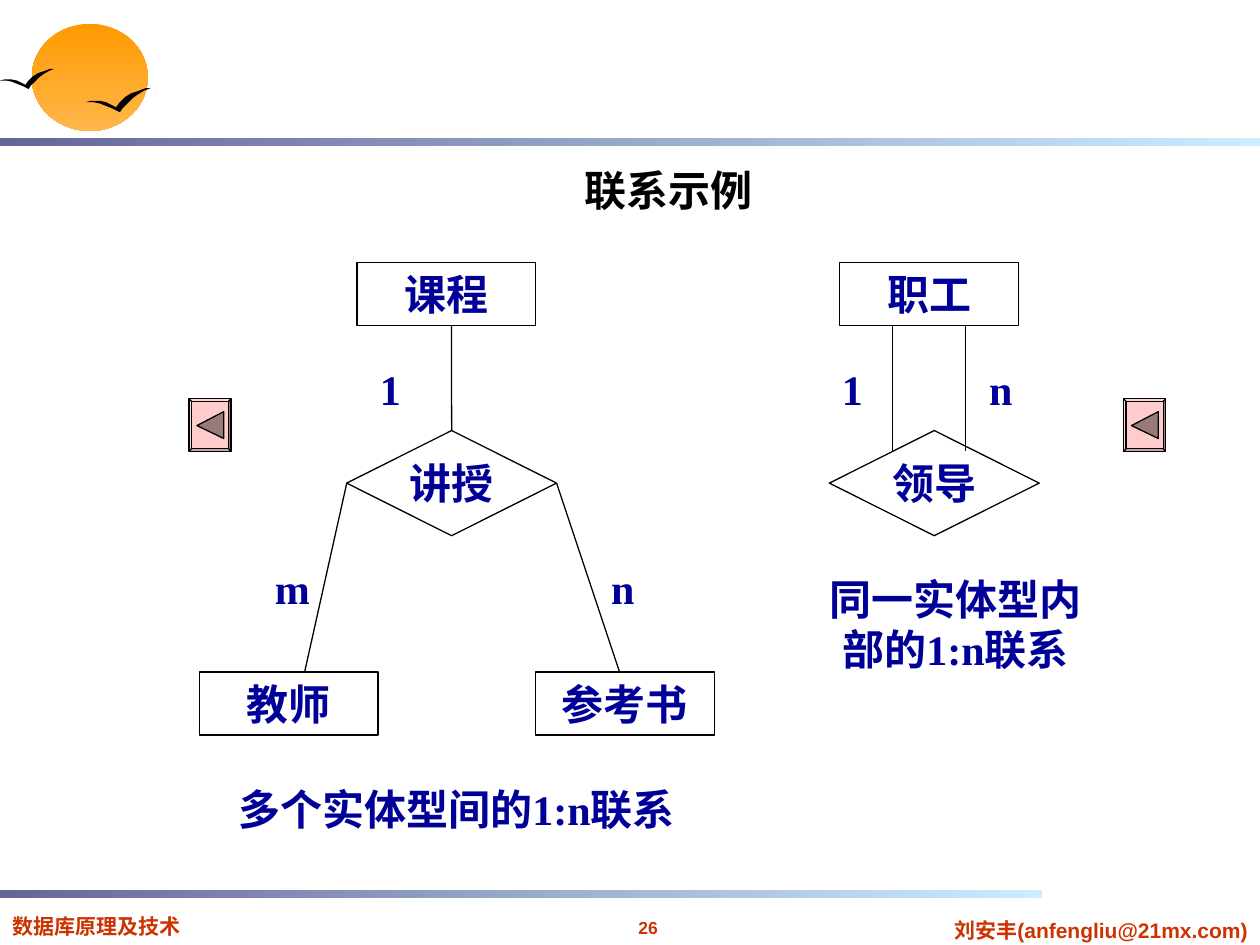
from dataclasses import dataclass
from typing import Optional

from lxml.etree import SubElement
from pptx import Presentation
from pptx.dml.color import RGBColor
from pptx.enum.shapes import MSO_CONNECTOR, MSO_SHAPE as Preset
from pptx.enum.text import MSO_ANCHOR as Anchor, MSO_AUTO_SIZE, PP_ALIGN as Align
from pptx.oxml.ns import qn
from pptx.util import Cm, Pt

BLACK = RGBColor(0x00, 0x00, 0x00)
NAVY = RGBColor(0x00, 0x00, 0x99)
RUST = RGBColor(0xCC, 0x33, 0x00)
SLATE = RGBColor(0x66, 0x66, 0x99)
ICE = RGBColor(0xCC, 0xEC, 0xFF)
ORANGE = RGBColor(0xFF, 0x99, 0x00)
AMBER = RGBColor(0xFF, 0xB7, 0x4C)
PINK = RGBColor(0xFF, 0xCC, 0xCC)
MAUVE = RGBColor(0x99, 0x7A, 0x7A)

CHINESE_FONT = "Noto Sans CJK SC"
HEADING = {"name": CHINESE_FONT, "size": Pt(24), "bold": True}
DIAGRAM = {"name": "Times New Roman", "size": Pt(24), "bold": True}
FOOTER = {"name": "Arial", "size": Pt(12), "bold": True}
PAGE_NUMBER = FOOTER | {"size": Pt(10)}

ENTITY_SIZE = (3.6, 1.27)
RELATION_SIZE = (4.23, 2.12)
ROLE_SIZE = (1.06, 1.27)
BUTTON_SIZE = (0.85, 1.06)
TOP, LEFT, RIGHT = 0, 1, 3

BIRD = [
    (0, 11), (4, 10), (11, 10), (16, 11), (20, 13), (24, 15), (27, 11), (31, 7),
    (36, 4), (42, 2), (47, 0), (51, 0), (46, 2), (41, 5), (37, 8), (33, 12),
    (29, 16), (27, 19), (25, 18), (21, 16), (16, 14), (11, 12), (6, 11),
]
ARROW = [(0, 28), (54, 0), (54, 54)]


@dataclass
class Node:
    text: str
    left: float
    top: float


@dataclass
class Label:
    text: str
    left: float
    top: float
    width: float
    height: float
    style: dict
    color: RGBColor = NAVY
    align: Align = Align.LEFT
    wrap: bool = True


@dataclass
class Link:
    start: tuple[float, float]
    end: tuple[float, float]
    relation: Optional[str] = None
    corner: int = TOP


def write(shape, text: str, style: dict, color: RGBColor, align=Align.CENTER,
          anchor=Anchor.TOP, wrap: bool = True) -> None:
    frame = shape.text_frame
    layout = {"word_wrap": wrap, "auto_size": MSO_AUTO_SIZE.NONE, "vertical_anchor": anchor}
    for key, value in layout.items():
        setattr(frame, key, value)
    frame.text = text
    paragraph = frame.paragraphs[0]
    paragraph.alignment = align
    font = paragraph.runs[0].font
    for key, value in style.items():
        setattr(font, key, value)
    font.color.rgb = color
    SubElement(paragraph.runs[0]._r.get_or_add_rPr(), qn("a:ea"), typeface=CHINESE_FONT)


def add_preset(shapes, preset, left: float, top: float, size: tuple[float, float]):
    shape = shapes.add_shape(preset, Cm(left), Cm(top), *map(Cm, size))
    shape.shadow.inherit = False
    return shape


def outline(shape) -> None:
    shape.line.color.rgb = BLACK
    shape.line.width = Pt(0.75)


def add_node(shapes, preset, node: Node, size: tuple[float, float], **layout):
    shape = add_preset(shapes, preset, node.left, node.top, size)
    shape.fill.background()
    outline(shape)
    write(shape, node.text, DIAGRAM, NAVY, **layout)
    return shape


def add_label(shapes, label: Label) -> None:
    box = shapes.add_textbox(*map(Cm, (label.left, label.top, label.width, label.height)))
    write(box, label.text, label.style, label.color, label.align, wrap=label.wrap)


def add_link(shapes, link: Link, relations: dict) -> None:
    line = shapes.add_connector(MSO_CONNECTOR.STRAIGHT, *map(Cm, link.start + link.end))
    outline(line)
    SubElement(line._element.spPr, qn("a:effectLst"))
    if link.relation:
        line.begin_connect(relations[link.relation], link.corner)


def add_gradient(shapes, preset, left: float, top: float, size: tuple[float, float],
                 colors: tuple[RGBColor, RGBColor], angle: int) -> None:
    shape = add_preset(shapes, preset, left, top, size)
    shape.line.fill.background()
    shape.fill.gradient()
    shape.fill.gradient_angle = angle
    for stop, position, color in zip(shape.fill.gradient_stops, (0, 1), colors):
        stop.position = position
        stop.color.rgb = color


def add_outline_shape(shapes, points: list, left: float, top: float, width: float, color: RGBColor):
    scale = Cm(width) / max(x for x, _ in points)
    builder = shapes.build_freeform(*points[0], scale=scale)
    builder.add_line_segments(points[1:])
    shape = builder.convert_to_shape(Cm(left), Cm(top))
    shape.shadow.inherit = False
    shape.fill.solid()
    shape.fill.fore_color.rgb = color
    shape.line.fill.background()
    return shape


def add_back_button(shapes, left: float, top: float) -> None:
    button = add_preset(shapes, Preset.BEVEL, left, top, BUTTON_SIZE)
    button.adjustments[0] = 0.06
    button.fill.solid()
    button.fill.fore_color.rgb = PINK
    outline(button)
    outline(add_outline_shape(shapes, ARROW, left + 0.16, top + 0.26, 0.54, MAUVE))


ENTITIES = [
    Node("职工", 16.93, 5.29), Node("课程", 7.2, 5.29),
    Node("教师", 4.02, 13.55), Node("参考书", 10.8, 13.55),
]
RELATIONS = [Node("领导", 16.72, 8.68), Node("讲授", 6.99, 8.68)]
LINKS = [
    Link((17.99, 9.1), (17.99, 6.56)),
    Link((19.47, 6.56), (19.47, 9.1)),
    Link((9.1, 8.68), (9.1, 6.56), "讲授", TOP),
    Link((6.99, 9.74), (6.14, 13.55), "讲授", LEFT),
    Link((11.22, 9.74), (12.49, 13.55), "讲授", RIGHT),
]
ROLES = [
    Node("1", 16.72, 7.2), Node("n", 19.69, 7.2), Node("1", 7.41, 7.2),
    Node("m", 5.29, 11.22), Node("n", 12.07, 11.22),
]
LABELS = [Label(role.text, role.left, role.top, *ROLE_SIZE, DIAGRAM) for role in ROLES] + [
    Label("同一实体型内部的1:n联系", 16.09, 11.43, 6.35, 2.29, DIAGRAM, align=Align.CENTER),
    Label("多个实体型间的1:n联系", 4.02, 15.66, 10.37, 1.27, DIAGRAM, align=Align.CENTER),
    Label("刘安丰(anfengliu@21mx.com)", 19, 18.37, 6.4, 0.76, FOOTER, RUST, Align.CENTER, False),
    Label("26", 11.96, 18.37, 2.21, 0.69, PAGE_NUMBER, RUST, Align.CENTER, False),
    Label("数据库原理及技术", 0, 18.29, 5.08, 0.76, FOOTER, RUST),
]


def main() -> None:
    deck = Presentation()
    deck.slide_width, deck.slide_height = Cm(25.4), Cm(19.05)
    slide = deck.slides.add_slide(deck.slide_layouts[5])
    shapes = slide.shapes

    add_gradient(shapes, Preset.OVAL, 0.64, 0.48, (2.34, 2.16), (ORANGE, AMBER), 270)
    for left, top, width in ((0, 1.39, 1.09), (1.73, 1.78, 1.3)):
        add_outline_shape(shapes, BIRD, left, top, width, BLACK)
    for top, width in ((2.79, 25.4), (17.95, 21.01)):
        add_gradient(shapes, Preset.RECTANGLE, 0, top, (width, 0.16), (SLATE, ICE), 0)

    title = shapes.title
    place = {"left": Cm(8.76), "top": Cm(3.18), "width": Cm(9.45), "height": Cm(1.27)}
    for key, value in place.items():
        setattr(title, key, value)
    write(title, "联系示例", HEADING, BLACK)

    for entity in ENTITIES:
        add_node(shapes, Preset.RECTANGLE, entity, ENTITY_SIZE)
    relations = {
        node.text: add_node(shapes, Preset.DIAMOND, node, RELATION_SIZE,
                            anchor=Anchor.MIDDLE, wrap=False)
        for node in RELATIONS
    }
    for link in LINKS:
        add_link(shapes, link, relations)
    for label in LABELS:
        add_label(shapes, label)
    for left in (3.81, 22.65):
        add_back_button(shapes, left, 8.04)

    deck.save("out.pptx")


if __name__ == "__main__":
    main()
